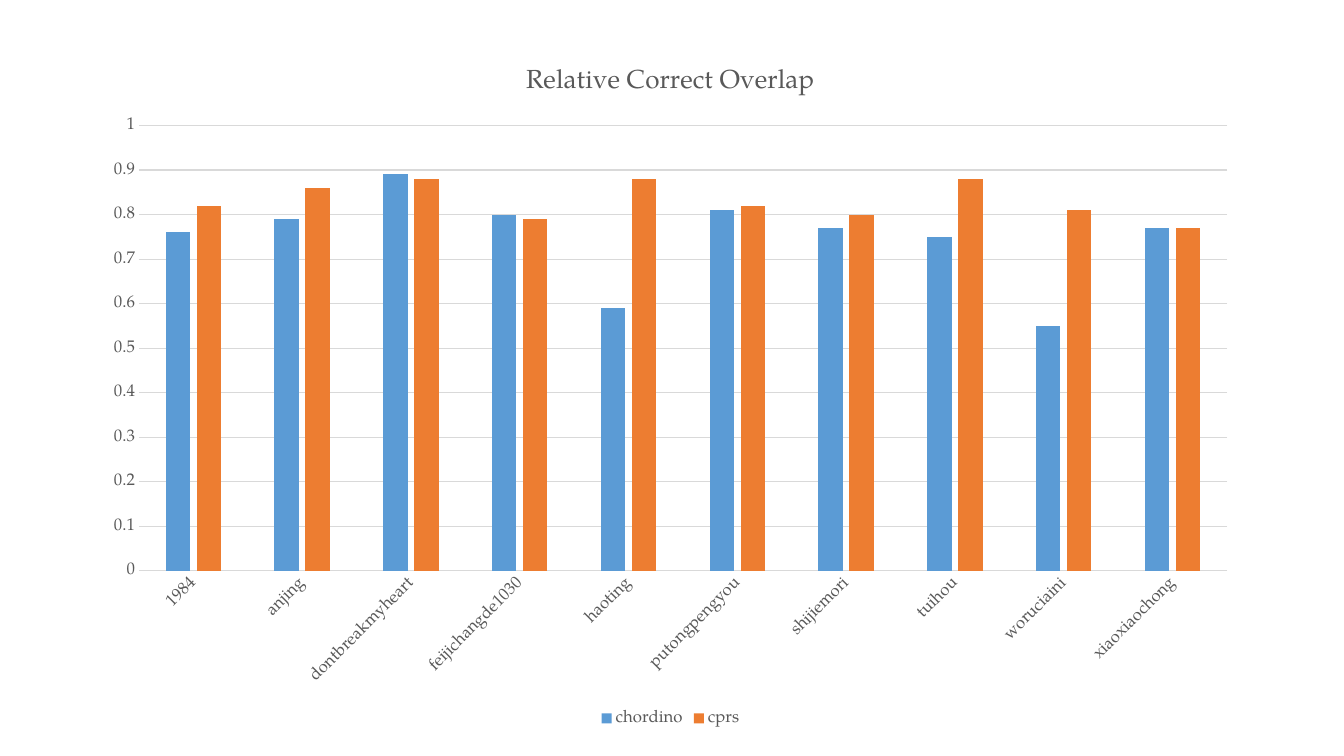
from dataclasses import dataclass

from pptx import Presentation
from pptx import util as u
from pptx.chart import data as chart_data
from pptx.dml.color import RGBColor
from pptx.enum import chart as ce

PX = u.Inches(1) // 100
FONT = "TeX Gyre Pagella"
COLORS = {
    "text": "595959",
    "line": "D9D9D9",
    "chordino": "5B9BD5",
    "cprs": "ED7D31",
}
SONGS = [
    "1984", "anjing", "dontbreakmyheart", "feijichangde1030", "haoting",
    "putongpengyou", "shijiemori", "tuihou", "woruciaini", "xiaoxiaochong",
]


@dataclass
class Series:
    name: str
    values: list[float]


SERIES = [
    Series("chordino", [0.76, 0.79, 0.89, 0.8, 0.59, 0.81, 0.77, 0.75, 0.55, 0.77]),
    Series("cprs", [0.82, 0.86, 0.88, 0.79, 0.88, 0.82, 0.8, 0.88, 0.81, 0.77]),
]


def px(length: int) -> int:
    return length * PX


def color(name: str) -> RGBColor:
    return RGBColor.from_string(COLORS[name])


def apply(target: object, values: dict) -> None:
    for name, value in values.items():
        setattr(target, name, value)


def format_font(font: object, size: float) -> None:
    apply(font, {"name": FONT, "size": u.Pt(size), "bold": False})
    font.color.rgb = color("text")


def format_line(line: object) -> None:
    line.color.rgb = color("line")
    line.width = u.Pt(0.75)


def add_overlap_chart(slide: object) -> object:
    data = chart_data.CategoryChartData()
    data.categories = SONGS
    for series in SERIES:
        data.add_series(series.name, series.values)
    frame = slide.shapes.add_chart(
        ce.XL_CHART_TYPE.COLUMN_CLUSTERED, px(90), px(42), px(1150), px(683), data
    )
    return frame.chart


def format_plot(chart: object) -> None:
    plot = chart.plots[0]
    apply(plot, {"gap_width": 219, "overlap": -27, "vary_by_categories": False})
    for series in plot.series:
        series.format.fill.solid()
        series.format.fill.fore_color.rgb = color(series.name)


def format_axes(chart: object) -> None:
    for axis in (chart.category_axis, chart.value_axis):
        apply(axis, {
            "major_tick_mark": ce.XL_TICK_MARK.NONE,
            "minor_tick_mark": ce.XL_TICK_MARK.NONE,
        })
        format_font(axis.tick_labels.font, 12)
    format_line(chart.category_axis.format.line)
    chart.value_axis.format.line.fill.background()
    apply(chart.value_axis, {
        "minimum_scale": 0, "maximum_scale": 1, "major_unit": 0.1,
        "has_major_gridlines": True,
    })
    format_line(chart.value_axis.major_gridlines.format.line)
    for body in chart.element.xpath("c:chart/c:plotArea/c:catAx/c:txPr/a:bodyPr"):
        body.set("rot", str(-45 * 60000))
        body.set("vert", "horz")


def format_title_and_legend(chart: object) -> None:
    apply(chart, {"has_title": True, "has_legend": True})
    paragraph = chart.chart_title.text_frame.paragraphs[0]
    run = paragraph.add_run()
    run.text = "Relative Correct Overlap"
    format_font(run.font, 18.6)
    apply(chart.legend, {
        "position": ce.XL_LEGEND_POSITION.BOTTOM,
        "include_in_layout": False,
    })
    format_font(chart.legend.font, 12)


def main() -> None:
    presentation = Presentation()
    apply(presentation, {"slide_width": px(1333), "slide_height": px(750)})
    slide = presentation.slides.add_slide(presentation.slide_layouts[6])
    chart = add_overlap_chart(slide)
    apply(chart.font, {"name": FONT, "size": u.Pt(10)})
    format_plot(chart)
    format_axes(chart)
    format_title_and_legend(chart)
    presentation.save("out.pptx")


if __name__ == "__main__":
    main()
